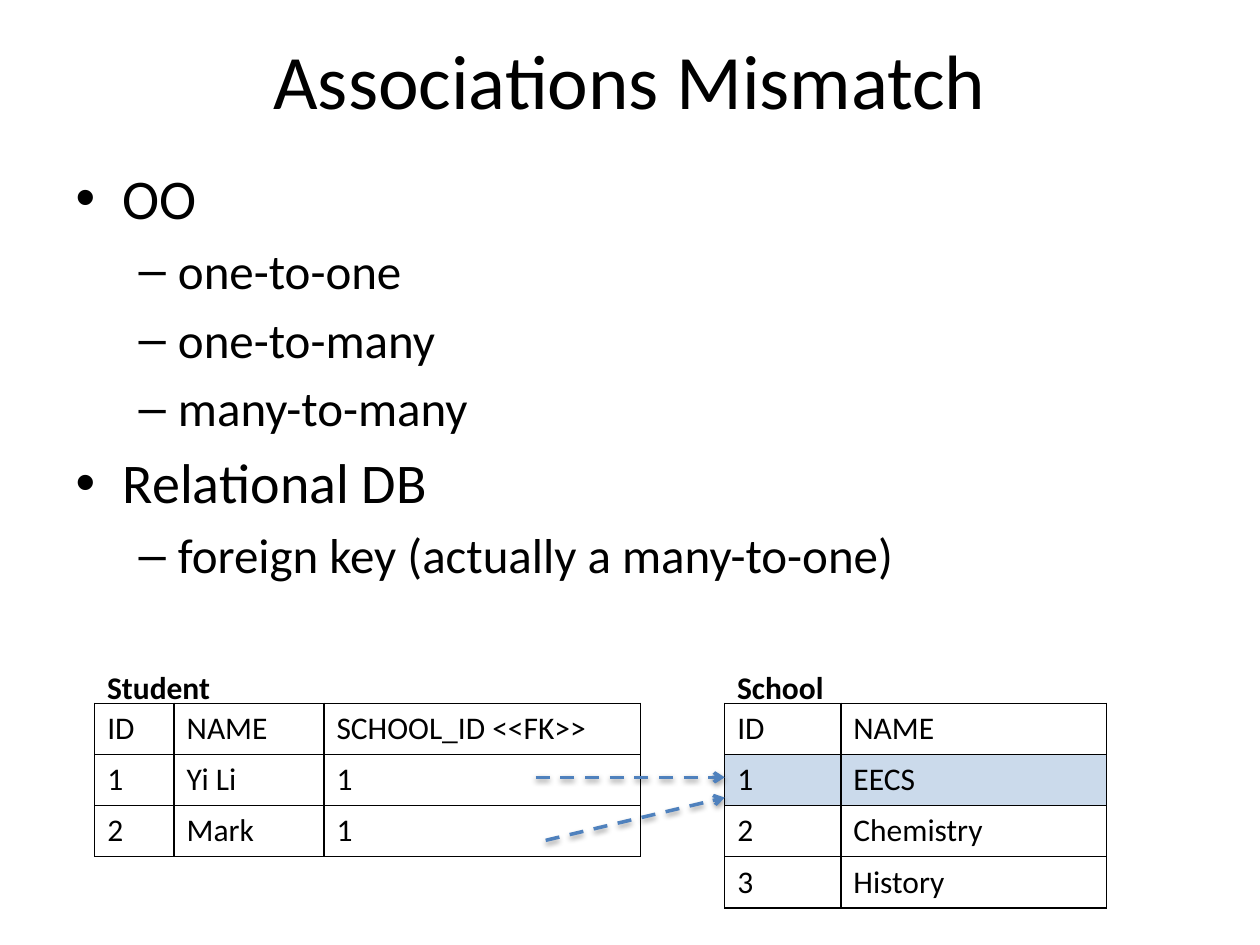
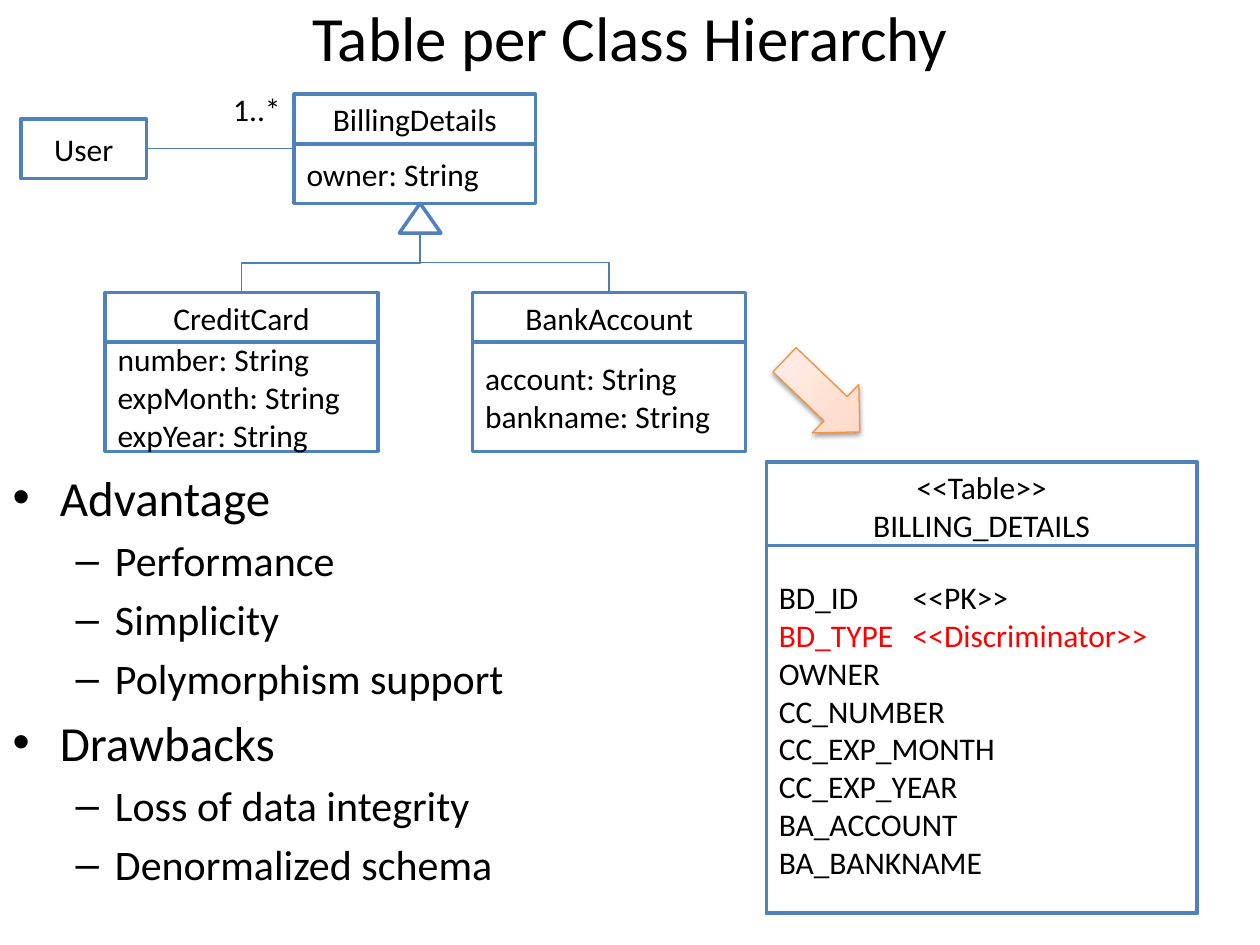
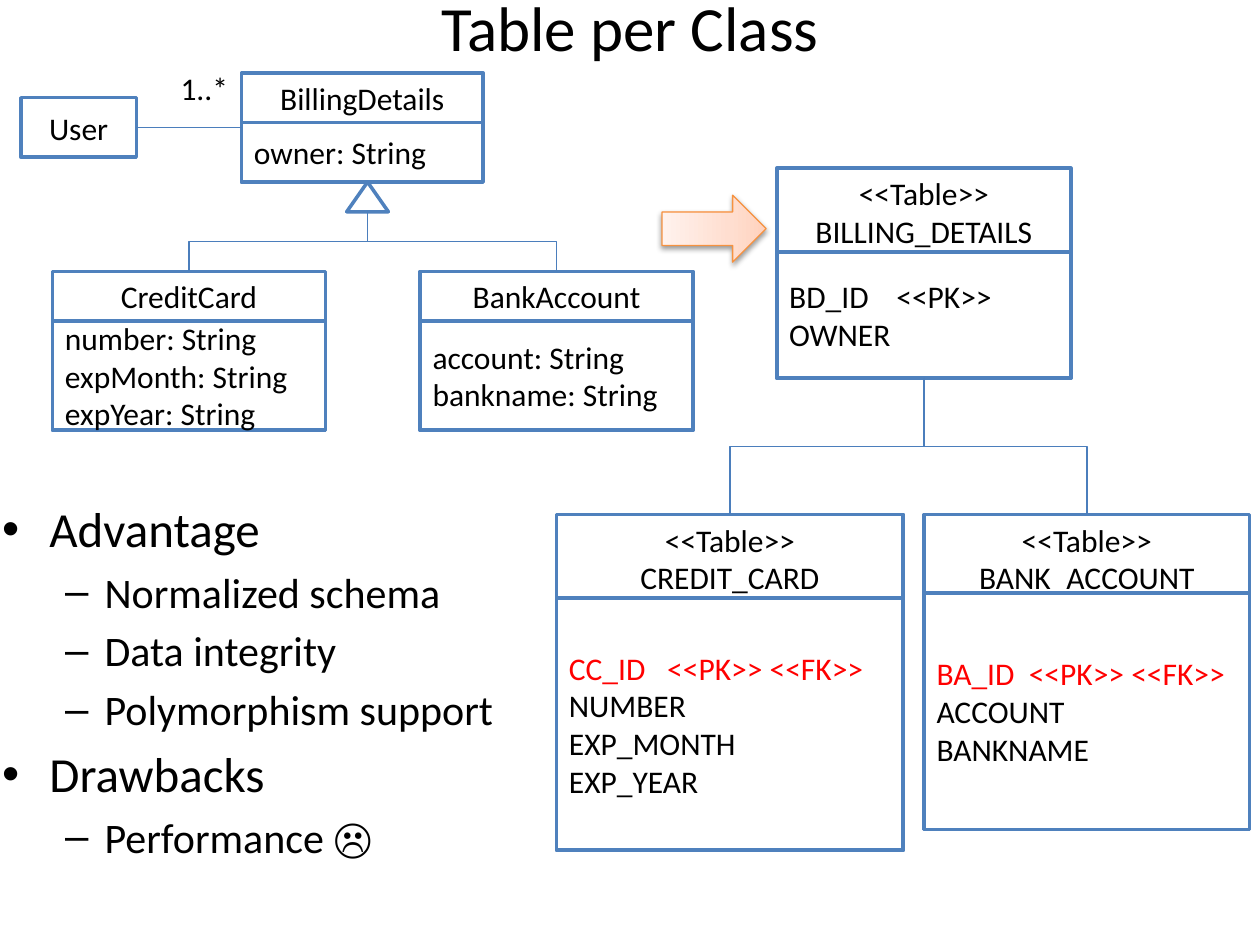
from dataclasses import dataclass

from lxml import etree
from pptx import Presentation
from pptx.dml.color import RGBColor
from pptx.enum.dml import MSO_LINE
from pptx.enum.shapes import MSO_CONNECTOR, MSO_SHAPE
from pptx.enum.text import MSO_ANCHOR, MSO_AUTO_SIZE, PP_ALIGN
from pptx.oxml import parse_xml
from pptx.oxml.ns import nsdecls, qn
from pptx.util import Cm, Pt

RECT, TRIANGLE, DOWN_ARROW = MSO_SHAPE.RECTANGLE, MSO_SHAPE.ISOSCELES_TRIANGLE, MSO_SHAPE.DOWN_ARROW
STRAIGHT, ELBOW = MSO_CONNECTOR.STRAIGHT, MSO_CONNECTOR.ELBOW
TOP, MIDDLE = MSO_ANCHOR.TOP, MSO_ANCHOR.MIDDLE
LEFT, CENTER = PP_ALIGN.LEFT, PP_ALIGN.CENTER
DASH = MSO_LINE.DASH
NO_FIT, FIT_SHAPE = MSO_AUTO_SIZE.NONE, MSO_AUTO_SIZE.SHAPE_TO_FIT_TEXT

COLORS = {
    "text": "000000",
    "paper": "FFFFFF",
    "accent": "4F81BD",
    "link": "4B7EBC",
    "key": "FF0000",
    "arrow": "F69240",
}
ARROW_STOPS = {0: "FFD2BD", 35: "FFDED0", 100: "FFF2ED"}
BASE_FONT = {"name": "Calibri", "size": Pt(18)}
ROW_HEIGHT = 1.03
CLASS_HEAD = 1.0
TABLE_HEAD = 1.69


@dataclass(frozen=True)
class Box:
    x: float
    y: float
    w: float
    h: float

    @property
    def mid_x(self) -> float:
        return self.x + self.w / 2

    @property
    def right(self) -> float:
        return self.x + self.w

    @property
    def bottom(self) -> float:
        return self.y + self.h

    def moved(self, dx: float, dy: float) -> "Box":
        return Box(self.x + dx, self.y + dy, self.w, self.h)

    def emu(self) -> tuple:
        return Cm(self.x), Cm(self.y), Cm(self.w), Cm(self.h)


@dataclass(frozen=True)
class Entity:
    """A box with a name part and a part for its fields."""
    box: Box
    names: tuple
    fields: tuple
    head: float = CLASS_HEAD
    key: int = -1
    tab: float = 0


@dataclass(frozen=True)
class Grid:
    name: str
    name_width: float
    x: float
    widths: tuple
    rows: tuple
    marked_row: int = -1


BILLING = Entity(Box(5.93, 1.9, 4.87, 2.2), ("BillingDetails",), ("owner: String",))
SUBCLASSES = (
    Entity(Box(2.12, 5.9, 5.5, 3.2), ("CreditCard",),
           ("number: String", "expMonth: String", "expYear: String")),
    Entity(Box(9.53, 5.9, 5.5, 3.2), ("BankAccount",),
           ("account: String", "bankname: String")),
)
INHERITANCE = Box(8.05, 4.1, 0.84, 0.6)
MULTIPLICITY = Box(4.45, 1.7, 1.48, 0.97)

HIERARCHY_TABLE = Entity(
    Box(15.45, 9.31, 8.68, 9.1), ("<<Table>>", "BILLING_DETAILS"),
    ("BD_ID\t<<PK>>", "BD_TYPE\t<<Discriminator>>", "OWNER", "CC_NUMBER",
     "CC_EXP_MONTH", "CC_EXP_YEAR", "BA_ACCOUNT", "BA_BANKNAME"),
    TABLE_HEAD, key=1, tab=2.7)
PARENT_TABLE = Entity(
    Box(15.66, 3.39, 5.93, 4.23), ("<<Table>>", "BILLING_DETAILS"),
    ("BD_ID\t<<PK>>", "OWNER"), TABLE_HEAD, tab=2.16)
CHILD_TABLES = (
    Entity(Box(18.63, 10.37, 6.56, 6.35), ("<<Table>>", "BANK_ACCOUNT"),
           ("BA_ID\t<<PK>> <<FK>>", "ACCOUNT", "BANKNAME"), 1.58, key=0, tab=1.86),
    Entity(Box(11.22, 10.37, 6.99, 6.77), ("<<Table>>", "CREDIT_CARD"),
           ("CC_ID\t<<PK>> <<FK>>", "NUMBER", "EXP_MONTH", "EXP_YEAR"),
           TABLE_HEAD, key=0, tab=1.98),
)

GRIDS = (
    Grid("Student", 2.7, 1.91, (1.6, 3.02, 6.38),
         (("ID", "NAME", "SCHOOL_ID <<FK>>"), ("1", "Yi Li", "1"), ("2", "Mark", "1"))),
    Grid("School", 2.4, 14.61, (2.34, 5.36),
         (("ID", "NAME"), ("1", "EECS"), ("2", "Chemistry"), ("3", "History")), 1),
)


def rgb(name: str) -> RGBColor:
    return RGBColor.from_string(COLORS[name])


def apply(target, values: dict) -> None:
    for name, value in values.items():
        setattr(target, name, value)


def write(p, text: str, color: str = "text", **fmt) -> None:
    r = p.add_run()
    r.text = text
    apply(r.font, {**BASE_FONT, **fmt})
    r.font.color.rgb = rgb(color)


def paragraph(tf, index: int):
    return tf.add_paragraph() if index else tf.paragraphs[0]


def set_effect(sp, shaded: bool = False) -> None:
    effects = etree.SubElement(sp._element.spPr, qn("a:effectLst"))
    if shaded:
        effects.append(parse_xml(
            f'<a:outerShdw {nsdecls("a")} blurRad="40000" dist="20000" dir="5400000" '
            'rotWithShape="0"><a:srgbClr val="000000"><a:alpha val="38000"/>'
            '</a:srgbClr></a:outerShdw>'))


def set_line(sp, color: str, width: float) -> None:
    sp.line.color.rgb = rgb(color)
    sp.line.width = Pt(width)


def place(sp, box: Box) -> None:
    apply(sp, dict(zip(("left", "top", "width", "height"), box.emu())))


def add_title(slide, text: str, box: Box, size: int) -> None:
    sp = slide.shapes.title
    place(sp, box)
    apply(sp.text_frame, {"auto_size": NO_FIT, "vertical_anchor": MIDDLE})
    p = sp.text_frame.paragraphs[0]
    p.alignment = CENTER
    write(p, text, size=Pt(size))


def add_list(slide, groups: dict, box: Box, sizes: tuple) -> None:
    sp = slide.placeholders[1]
    place(sp, box)
    tf = sp.text_frame
    tf.auto_size = NO_FIT
    items = [(level, text) for head, points in groups.items()
             for level, text in ((0, head), *((1, point) for point in points))]
    for i, (level, text) in enumerate(items):
        p = paragraph(tf, i)
        p.level = level
        write(p, text, size=Pt(sizes[level]))


def add_label(slide, text: str, box: Box, bold: bool = False) -> None:
    tf = slide.shapes.add_textbox(*box.emu()).text_frame
    apply(tf, {"word_wrap": False, "auto_size": FIT_SHAPE})
    write(tf.paragraphs[0], text, bold=bold)


def add_outlined(slide, kind, box: Box):
    sp = slide.shapes.add_shape(kind, *box.emu())
    sp.fill.solid()
    sp.fill.fore_color.rgb = rgb("paper")
    set_line(sp, "accent", 2)
    set_effect(sp)
    return sp


def add_panel(slide, box: Box, lines: tuple, anchor, align, key: int = -1,
              tab: float = 0) -> None:
    tf = add_outlined(slide, RECT, box).text_frame
    apply(tf, {"word_wrap": True, "vertical_anchor": anchor})
    for i, line in enumerate(lines):
        p = paragraph(tf, i)
        p.alignment = align
        if "\t" in line:
            tabs = etree.SubElement(p._p.get_or_add_pPr(), qn("a:tabLst"))
            etree.SubElement(tabs, qn("a:tab"), pos=str(Cm(tab)), algn="l")
        write(p, line, "key" if i == key else "text")


def add_entity(slide, entity: Entity, dx: float = 0, dy: float = 0) -> Box:
    box = entity.box.moved(dx, dy)
    add_panel(slide, box, entity.names, TOP, CENTER)
    fields = Box(box.x, box.y + entity.head, box.w, box.h - entity.head)
    add_panel(slide, fields, entity.fields, MIDDLE, LEFT, entity.key, entity.tab)
    return box


def connect(slide, kind, start: tuple, end: tuple, color: str = "link", width: float = 0.75):
    c = slide.shapes.add_connector(kind, *(Cm(v) for v in (*start, *end)))
    set_line(c, color, width)
    return c


def add_branch(slide, start: tuple, end: tuple) -> None:
    """Elbow that leaves downwards: a sideways elbow turned about its centre."""
    (x1, y1), (x2, y2) = start, end
    mid_x, mid_y = (x1 + x2) / 2, (y1 + y2) / 2
    to_right = x2 > x1
    half_w = (y2 - y1) / 2 * (-1 if to_right else 1)
    half_h = abs(x2 - x1) / 2
    c = connect(slide, ELBOW, (mid_x - half_w, mid_y - half_h), (mid_x + half_w, mid_y + half_h))
    c._element.spPr.find(qn("a:xfrm")).set("rot", str((270 if to_right else 90) * 60000))
    set_effect(c)


def add_reference(slide, start: tuple, end: tuple) -> None:
    c = connect(slide, STRAIGHT, start, end, "accent", 2)
    c.line.dash_style = DASH
    etree.SubElement(c._element.spPr.find(qn("a:ln")), qn("a:tailEnd"), type="arrow")
    set_effect(c, shaded=True)


def add_block_arrow(slide, box: Box, rotation: float) -> None:
    sp = slide.shapes.add_shape(DOWN_ARROW, *box.emu())
    sp.rotation = rotation
    stops = "".join(f'<a:gs pos="{pos * 1000}"><a:srgbClr val="{color}"/></a:gs>'
                    for pos, color in ARROW_STOPS.items())
    sp._element.spPr.insert(2, parse_xml(
        f'<a:gradFill {nsdecls("a")} rotWithShape="1"><a:gsLst>{stops}</a:gsLst>'
        '<a:lin ang="16200000" scaled="1"/></a:gradFill>'))
    set_line(sp, "arrow", 0.75)
    set_effect(sp, shaded=True)


def set_borders(cell) -> None:
    for side in ("lnL", "lnR", "lnT", "lnB"):
        cell._tc.get_or_add_tcPr().append(parse_xml(
            f'<a:{side} {nsdecls("a")} w="12700"><a:solidFill>'
            f'<a:srgbClr val="{COLORS["text"]}"/></a:solidFill></a:{side}>'))


def add_grid(slide, grid: Grid, y: float) -> None:
    box = Box(grid.x, y, sum(grid.widths), ROW_HEIGHT * len(grid.rows))
    table = slide.shapes.add_table(len(grid.rows), len(grid.widths), *box.emu()).table
    apply(table, {"first_row": False, "horz_banding": False})
    for column, width in zip(table.columns, grid.widths):
        column.width = Cm(width)
    for i, (row, texts) in enumerate(zip(table.rows, grid.rows)):
        row.height = Cm(ROW_HEIGHT)
        for cell, text in zip(row.cells, texts):
            write(cell.text_frame.paragraphs[0], text)
            set_borders(cell)
            if i == grid.marked_row:
                cell.fill.solid()
                cell.fill.fore_color.rgb = rgb("accent")
                color = cell._tc.tcPr.find(qn("a:solidFill"))[0]
                etree.SubElement(color, qn("a:alpha"), val="29000")
            else:
                cell.fill.background()
    add_label(slide, grid.name, Box(grid.x, y - 0.84, grid.name_width, 1.02), bold=True)


def add_class_diagram(slide, user_width: float, dx: float = 0, dy: float = 0) -> None:
    billing = add_entity(slide, BILLING, dx, dy)
    triangle = INHERITANCE.moved(dx, dy)
    add_outlined(slide, TRIANGLE, triangle)
    for subclass in SUBCLASSES:
        box = add_entity(slide, subclass, dx, dy)
        add_branch(slide, (triangle.mid_x, triangle.bottom), (box.mid_x, box.y))
    user = Box(0.42, 2.4 + dy, user_width, 1.2)
    add_panel(slide, user, ("User",), MIDDLE, CENTER)
    link_y = user.y + user.h / 2
    set_effect(connect(slide, STRAIGHT, (user.right, link_y), (billing.x, link_y)))
    add_label(slide, "1..*", MULTIPLICITY.moved(dx, dy))


def associations(slide) -> None:
    add_title(slide, "Associations Mismatch", Box(1.27, 0, 22.86, 3.18), 44)
    add_list(slide, {
        "OO": ("one-to-one", "one-to-many", "many-to-many"),
        "Relational DB": ("foreign key (actually a many-to-one)",),
    }, Box(1.27, 3.17, 22.86, 12.57), (32, 28))
    for grid in GRIDS:
        add_grid(slide, grid, 14.18)
    school_x = GRIDS[1].x
    add_reference(slide, (10.8, 15.67), (school_x, 15.67))
    add_reference(slide, (11.0, 16.94), (school_x, 16.08))


def table_per_hierarchy(slide) -> None:
    add_title(slide, "Table per Class Hierarchy", Box(1.27, -0.43, 22.86, 2.33), 36)
    add_list(slide, {
        "Advantage": ("Performance", "Simplicity", "Polymorphism support"),
        "Drawbacks": ("Loss of data integrity", "Denormalized schema"),
    }, Box(0, 9.3, 14.4, 9.04), (28, 24))
    add_class_diagram(slide, 2.54)
    add_entity(slide, HIERARCHY_TABLE)
    add_block_arrow(slide, Box(15.9, 6.93, 1.35, 2.1), 313.8)


def table_per_class(slide) -> None:
    add_title(slide, "Table per Class", Box(1.27, -0.64, 22.86, 2.33), 36)
    add_list(slide, {
        "Advantage": ("Normalized schema", "Data integrity", "Polymorphism support"),
        "Drawbacks": ("Performance ☹",),
    }, Box(-0.21, 9.93, 14.4, 7.82), (28, 24))
    add_class_diagram(slide, 2.33, dx=-1.06, dy=-0.43)
    parent = add_entity(slide, PARENT_TABLE)
    for child in CHILD_TABLES:
        box = add_entity(slide, child)
        add_branch(slide, (parent.mid_x, parent.bottom), (box.mid_x, box.y))
    add_block_arrow(slide, Box(13.72, 3.56, 1.35, 2.1), 270)


def main() -> None:
    prs = Presentation()
    prs.slide_width, prs.slide_height = Cm(25.4), Cm(19.05)
    for build in (associations, table_per_hierarchy, table_per_class):
        build(prs.slides.add_slide(prs.slide_layouts[1]))
    prs.save("out.pptx")


if __name__ == "__main__":
    main()
